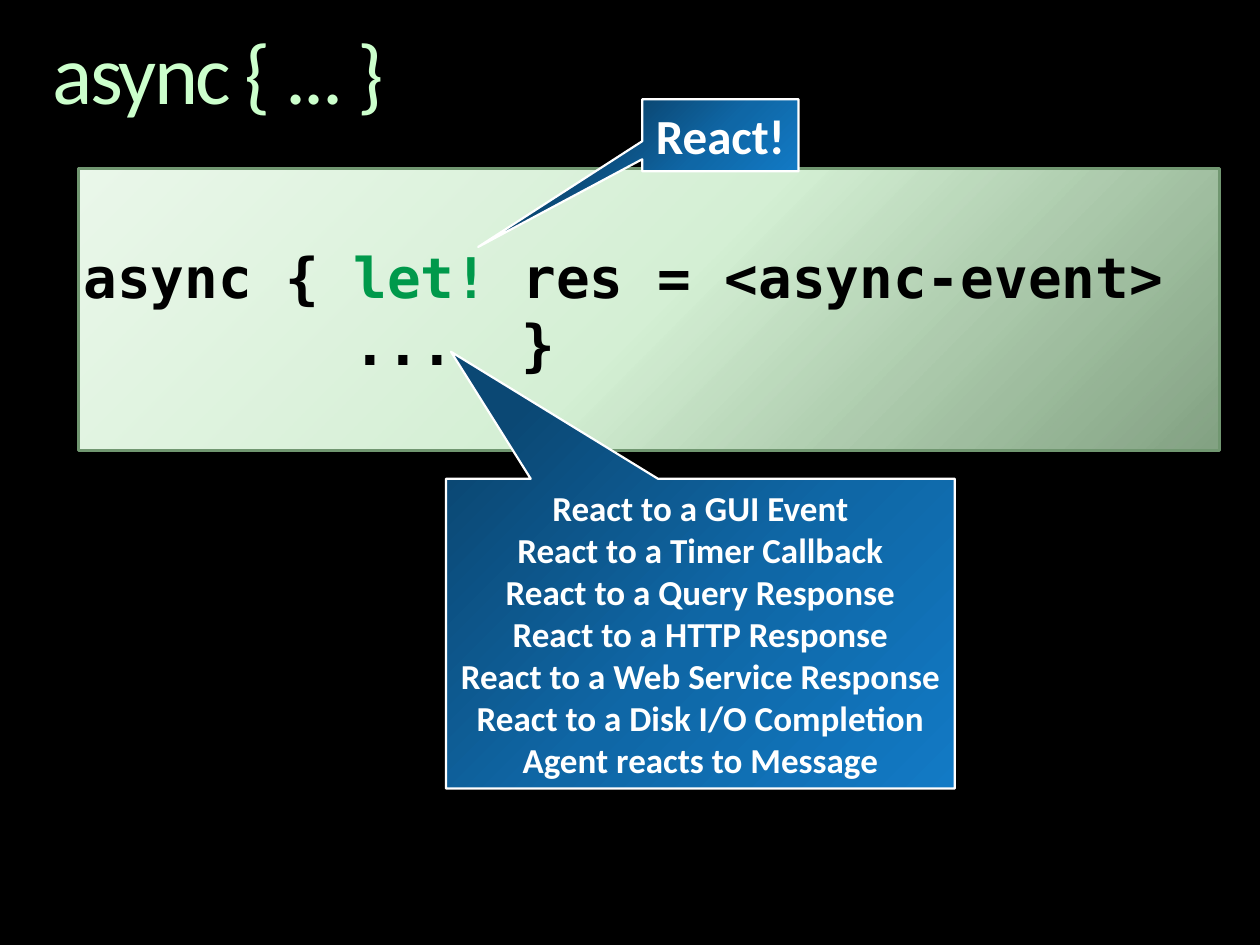
from dataclasses import dataclass

from lxml import etree
from pptx import Presentation
from pptx.dml.color import RGBColor
from pptx.enum.shapes import MSO_SHAPE as Shape
from pptx.enum.text import MSO_ANCHOR as Anchor, PP_ALIGN as Align
from pptx.oxml.ns import qn
from pptx.util import Pt


@dataclass(frozen=True)
class Theme:
    background: str = "000000"
    title: str = "CCFFCC"
    code: str = "000000"
    keyword: str = "00994B"
    panel_line: str = "719771"
    callout_text: str = "FFFFFF"
    panel_stops: tuple = (("BBE7BB", 69), ("D4EFD4", 100), ("EAF7EA", 100))
    callout_stops: tuple = (("0B4874", 100), ("0F67A6", 100), ("127AC5", 100))
    text_font: str = "Calibri"
    code_font: str = "DejaVu Sans Mono"
    title_size: int = 48
    code_size: int = 32
    short_size: int = 28
    list_size: int = 20


THEME = Theme()
EVENTS = (
    "React to a GUI Event",
    "React to a Timer Callback",
    "React to a Query Response",
    "React to a HTTP Response",
    "React to a Web Service Response",
    "React to a Disk I/O Completion",
    "Agent reacts to Message",
)
CODE = (
    (("async { ", THEME.code), ("let!", THEME.keyword),
     (" res = <async-event>", THEME.code)),
    (("        ...  }", THEME.code),),
)


def style(font, face, size, color, bold=True):
    font.name = face
    font.size = Pt(size)
    font.bold = bold
    font.color.rgb = RGBColor.from_string(color)


def set_insets(frame, inset):
    frame.margin_left = frame.margin_right = Pt(inset)
    frame.margin_top = frame.margin_bottom = Pt(inset)


def fill_gradient(shape, stops, clockwise_angle):
    shape.fill.gradient()
    shape.fill.gradient_angle = (360 - clockwise_angle) % 360
    stop_list = next(shape._element.iter(qn("a:gsLst")))
    for old_stop in list(stop_list):
        stop_list.remove(old_stop)
    for index, (color, opacity) in enumerate(stops):
        position = index * 100000 // (len(stops) - 1)
        stop = etree.SubElement(stop_list, qn("a:gs"), pos=str(position))
        tint = etree.SubElement(stop, qn("a:srgbClr"), val=color)
        if opacity < 100:
            etree.SubElement(tint, qn("a:alpha"), val=str(opacity * 1000))


def add_box(slide, preset, bounds, stops, angle, line_color, line_width):
    box = slide.shapes.add_shape(preset, *map(Pt, bounds))
    box.shadow.inherit = False
    fill_gradient(box, stops, angle)
    box.line.color.rgb = RGBColor.from_string(line_color)
    box.line.width = Pt(line_width)
    box.text_frame.vertical_anchor = Anchor.MIDDLE
    return box


def add_title(slide, wording, bounds):
    frame = slide.shapes.add_textbox(*map(Pt, bounds)).text_frame
    frame.word_wrap = True
    set_insets(frame, 0)
    frame.text = wording
    heading = frame.paragraphs[0]
    heading.line_spacing = 0.9
    run = heading.runs[0]
    style(run.font, THEME.text_font, THEME.title_size, THEME.title, False)
    run.font._element.set("spc", "-150")


def add_code_panel(slide, code_lines, bounds):
    panel = add_box(slide, Shape.RECTANGLE, bounds, THEME.panel_stops, 225,
                    THEME.panel_line, 1.75)
    frame = panel.text_frame
    frame.word_wrap = True
    set_insets(frame, 3)
    frame.text = "\n".join("" for _ in code_lines)
    for paragraph, pieces in zip(frame.paragraphs, code_lines):
        paragraph.alignment = Align.LEFT
        for wording, color in pieces:
            run = paragraph.add_run()
            run.text = wording
            style(run.font, THEME.code_font, THEME.code_size, color)


def add_callout(slide, lines, bounds, tip, size):
    callout = add_box(slide, Shape.RECTANGULAR_CALLOUT, bounds,
                      THEME.callout_stops, 45, THEME.callout_text, 1.25)
    callout.adjustments[0], callout.adjustments[1] = tip
    frame = callout.text_frame
    frame.word_wrap = False
    frame.text = "\n".join(lines)
    for paragraph in frame.paragraphs:
        paragraph.alignment = Align.CENTER
        style(paragraph.runs[0].font, THEME.text_font, size, THEME.callout_text)


def main():
    deck = Presentation()
    deck.slide_width, deck.slide_height = Pt(720), Pt(540)
    slide = deck.slides.add_slide(deck.slide_layouts[6])
    slide.background.fill.solid()
    slide.background.fill.fore_color.rgb = RGBColor.from_string(THEME.background)

    add_title(slide, "async { ... }", (30, 18, 660, 52.5))
    add_code_panel(slide, CODE, (44.7, 96.3, 652, 161))
    add_callout(slide, ("React!",), (367, 56.7, 89.3, 41.2),
                (-1.55, 1.55), THEME.short_size)
    add_callout(slide, EVENTS, (254.8, 273.6, 290.8, 177),
                (-0.49, -0.91), THEME.list_size)
    deck.save("out.pptx")


if __name__ == "__main__":
    main()
